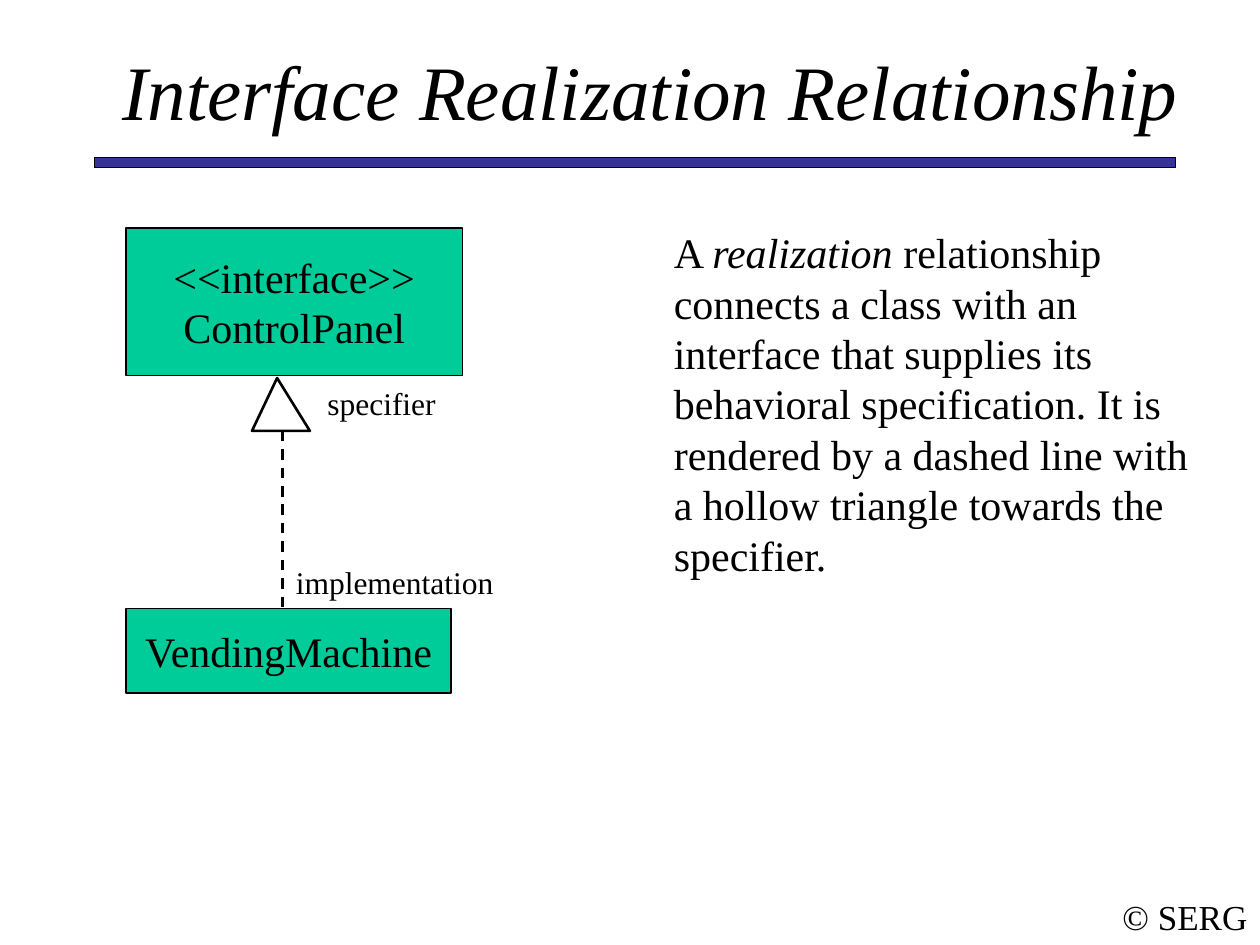
from lxml.etree import SubElement
from pptx import Presentation
from pptx.dml.color import RGBColor
from pptx.enum.dml import MSO_LINE
from pptx.enum.shapes import MSO_CONNECTOR, MSO_SHAPE
from pptx.enum.text import MSO_ANCHOR, MSO_AUTO_SIZE, PP_ALIGN
from pptx.oxml.ns import qn
from pptx.util import Inches, Pt

BLACK = RGBColor(0x00, 0x00, 0x00)
WHITE = RGBColor(0xFF, 0xFF, 0xFF)
NAVY = RGBColor(0x33, 0x33, 0x99)
GREEN = RGBColor(0x00, 0xCC, 0x99)


class Deck:
    """Holds the style and the current slide."""

    font = "Times New Roman"

    def __init__(self):
        self.prs = Presentation()
        self.prs.slide_width = Inches(10)
        self.prs.slide_height = Inches(7.5)
        self.slide = self.prs.slides.add_slide(self.prs.slide_layouts[5])

    def style(self, par, size, align=PP_ALIGN.LEFT):
        par.alignment = align
        par.font.name = self.font
        par.font.size = Pt(size)
        par.font.color.rgb = BLACK

    def paint(self, shape, fill, width):
        shape.shadow.inherit = False
        shape.fill.solid()
        shape.fill.fore_color.rgb = fill
        shape.line.color.rgb = BLACK
        shape.line.width = Pt(width)

    def title(self, text, *area):
        shape = self.slide.shapes.title
        shape.left, shape.top, shape.width, shape.height = map(Inches, area)
        frame = shape.text_frame
        frame.text = text
        frame.auto_size = MSO_AUTO_SIZE.NONE
        frame.vertical_anchor = MSO_ANCHOR.MIDDLE
        par = frame.paragraphs[0]
        self.style(par, 44, PP_ALIGN.CENTER)
        par.font.italic = True

    def box(self, lines, fill, *area):
        shape = self.slide.shapes.add_shape(MSO_SHAPE.RECTANGLE, *map(Inches, area))
        self.paint(shape, fill, 0.75)
        frame = shape.text_frame
        frame.word_wrap = False
        frame.vertical_anchor = MSO_ANCHOR.MIDDLE
        frame.text = "\n".join(lines)
        for par in frame.paragraphs:
            self.style(par, 24, PP_ALIGN.CENTER)

    def text(self, parts, size, *area, wrap=True, align=PP_ALIGN.LEFT):
        """Add one paragraph; parts are pairs of words and italic."""
        frame = self.slide.shapes.add_textbox(*map(Inches, area)).text_frame
        frame.word_wrap = wrap
        frame.auto_size = MSO_AUTO_SIZE.SHAPE_TO_FIT_TEXT
        par = frame.paragraphs[0]
        self.style(par, size, align)
        for words, slant in parts:
            run = par.add_run()
            run.text = words
            if slant:
                run.font.italic = True

    def arrow(self, stem, head):
        """Group a dashed stem with a hollow triangle."""
        group = self.slide.shapes.add_group_shape().shapes
        line = group.add_connector(MSO_CONNECTOR.STRAIGHT, *map(Inches, stem))
        line.line.color.rgb = BLACK
        line.line.width = Pt(1.5)
        line.line.dash_style = MSO_LINE.DASH
        SubElement(line._element.spPr, qn("a:effectLst"))
        start, *rest = [(Inches(x), Inches(y)) for x, y in head]
        form = group.build_freeform(*start)
        form.add_line_segments(rest, close=True)
        self.paint(form.convert_to_shape(), WHITE, 1.5)


def main():
    deck = Deck()

    # Footer, title and rule
    deck.text([("© SERG", False)], 20, 8.81, 7.06, 1.19, 0.44,
              wrap=False, align=PP_ALIGN.CENTER)
    deck.box([], NAVY, 0.75, 1.25, 8.58, 0.08)
    deck.title("Interface Realization Relationship", 0.75, 0.42, 8.83, 0.58)

    # Class diagram
    deck.box(["<<interface>>", "ControlPanel"], GREEN, 1, 1.81, 2.67, 1.17)
    deck.box(["VendingMachine"], GREEN, 1, 4.83, 2.58, 0.67)
    deck.arrow((2.24, 3.42, 2.24, 4.83), [(2.2, 3), (2, 3.42), (2.46, 3.42)])

    # Explanation
    deck.text([
        ("A ", False),
        ("realization", True),
        (" relationship connects a class with an interface that supplies its "
         "behavioral specification. It is rendered by a dashed line with a "
         "hollow triangle towards the specifier.", False),
    ], 24, 5.25, 1.75, 4.33, 2.9)

    # Role labels
    deck.text([("specifier", False)], 18, 2.5, 3, 1.08, 0.4)
    deck.text([("implementation", False)], 18, 2.25, 4.42, 1.83, 0.4)

    deck.prs.save("out.pptx")


if __name__ == "__main__":
    main()
